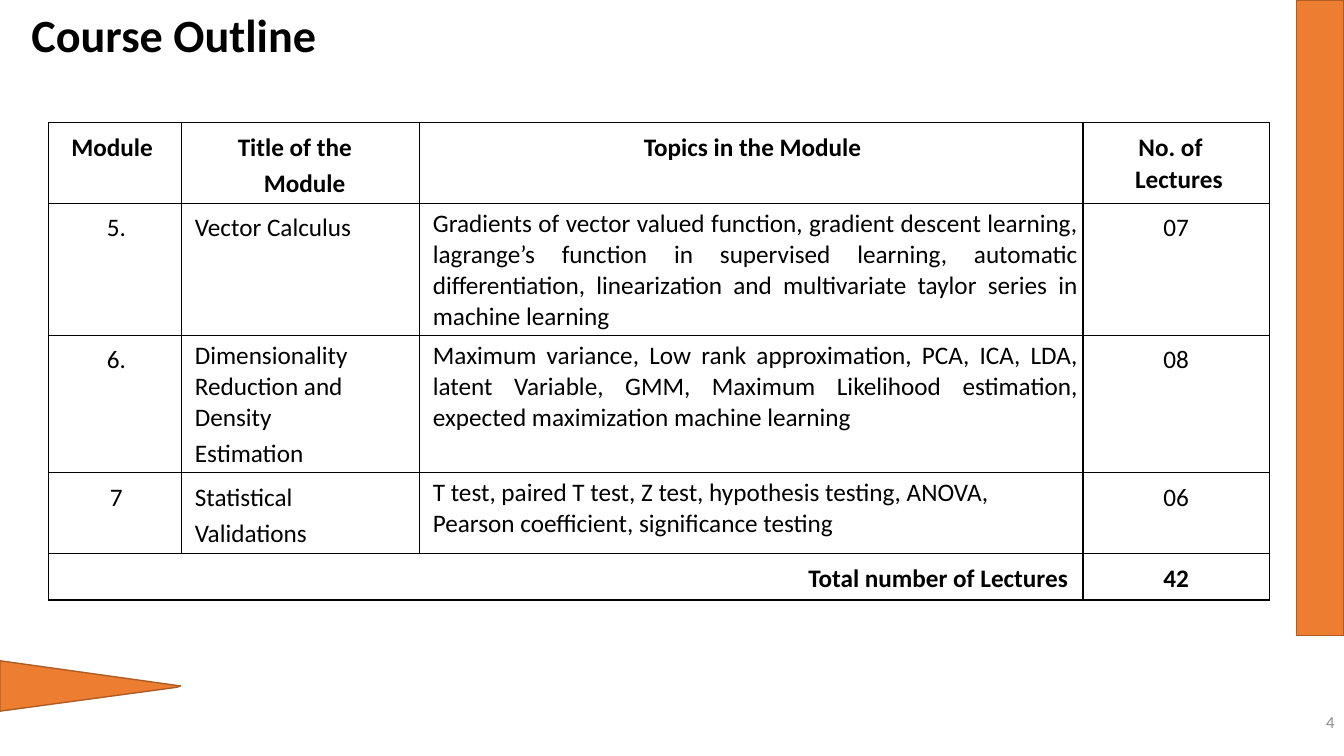
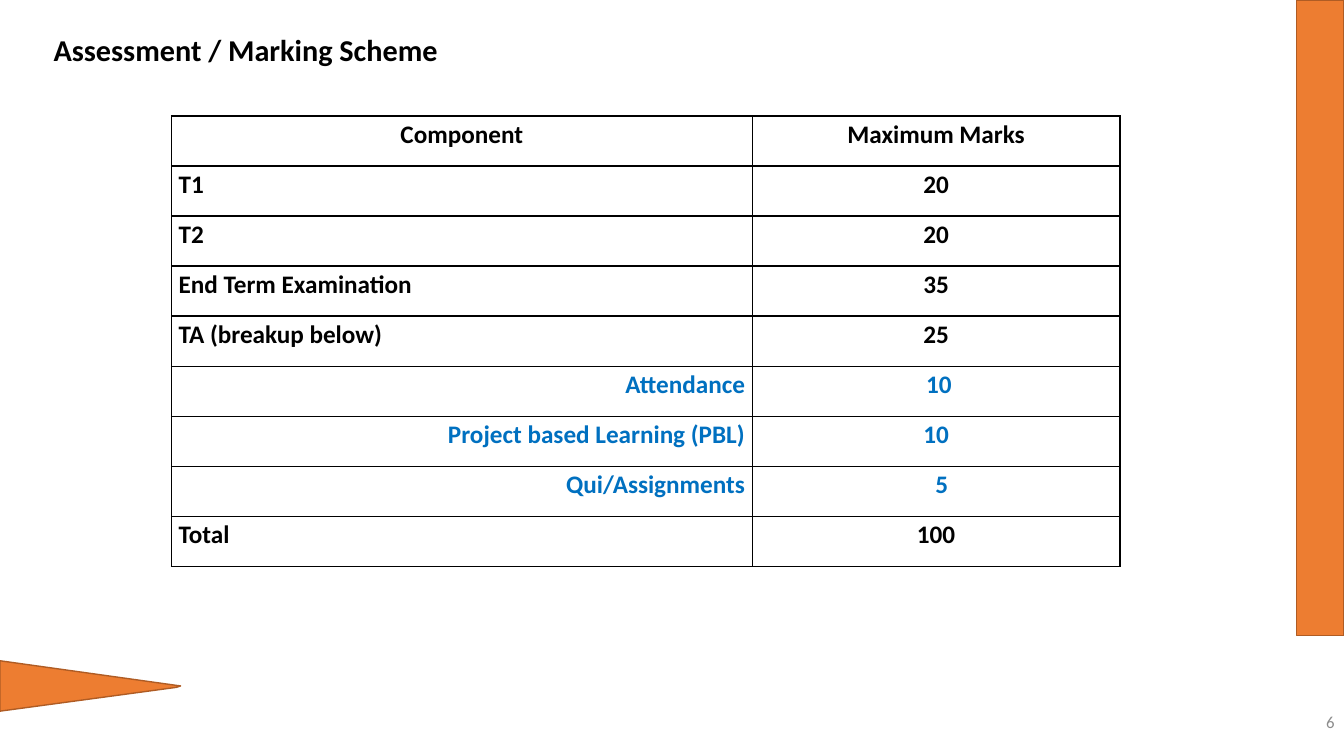
"""Builds the course outline and marking scheme slides."""
from lxml import etree
from pptx import Presentation
from pptx.dml.color import RGBColor
from pptx.enum.shapes import MSO_SHAPE
from pptx.enum.text import MSO_ANCHOR, PP_ALIGN
from pptx.oxml.ns import qn
from pptx.util import Pt

LEFT, CENTER, RIGHT, JUSTIFY = PP_ALIGN.LEFT, PP_ALIGN.CENTER, PP_ALIGN.RIGHT, PP_ALIGN.JUSTIFY
TOP, MIDDLE = MSO_ANCHOR.TOP, MSO_ANCHOR.MIDDLE
RECTANGLE = MSO_SHAPE.RECTANGLE

FONT = "Calibri"
BLACK = RGBColor(0x00, 0x00, 0x00)
ORANGE = RGBColor(0xED, 0x7D, 0x31)
BROWN = RGBColor(0xAF, 0x5C, 0x24)
GRAY = RGBColor(0x8C, 0x8C, 0x8C)
BLUE = RGBColor(0x00, 0x70, 0xC0)

WEDGE = [(0, 472.3), (129, 490.4), (126, 491), (0, 508.5)]
BAND = (926, 0, 34, 454)
PAGE_NUMBER = (914.4, 501, 46, 29)

OUTLINE_HEADER = [
    [("Module", {"right": 4})],
    [("Title of the", {"left": 6, "right": 14}), ("Module", {"left": 6})],
    [("Topics in the Module", {"left": 2})],
    [("No. of", {"right": 8}), ("Lectures", {"left": 4, "spacing": 1.01})],
]
OUTLINE_ROWS = [
    [["5."], ["Vector Calculus"],
     ["Gradients of vector valued function, gradient descent learning, lagrange’s function in "
      "supervised learning, automatic differentiation, linearization and multivariate taylor "
      "series in machine learning"], ["07"]],
    [["6."], [("Dimensionality Reduction and Density", {"spacing": 1.01}), "Estimation"],
     ["Maximum variance, Low rank approximation, PCA, ICA, LDA, latent Variable, GMM, Maximum "
      "Likelihood estimation, expected maximization machine learning"], ["08"]],
    [["7"], ["Statistical", "Validations"],
     [("T test, paired T test, Z test, hypothesis testing, ANOVA,\v"
       "Pearson coefficient, significance testing", {"align": LEFT})], ["06"]],
]
OUTLINE_TOTAL = ("Total number of Lectures", "42")
OUTLINE_COLUMNS = [
    {"align": CENTER, "left": 2, "spacing": 1.15},
    {"left": 6, "spacing": 1.15},
    {"align": JUSTIFY, "left": 6, "spacing": 1.01},
    {"align": CENTER, "spacing": 1.15},
]

MARKS_HEADER = ("Component", "Maximum Marks")
MARKS = [("T1", "20"), ("T2", "20"), ("End Term Examination", "35"), ("TA (breakup below)", "25")]
BREAKUP = [("Attendance", "10", 4), ("Project based Learning (PBL)", "10", 0),
           ("Qui/Assignments", "5", 8)]
MARKS_TOTAL = ("Total", "100")


def write(tf, paragraphs, **common):
    for i, item in enumerate(paragraphs):
        text, own = (item, {}) if isinstance(item, str) else item
        fmt = {"size": 18, "bold": False, "color": BLACK, "align": LEFT,
               "left": 0, "right": 0, "spacing": 1.0, **common, **own}
        p = tf.add_paragraph() if i else tf.paragraphs[0]
        p.text = text
        p.alignment = fmt["align"]
        p.line_spacing = fmt["spacing"]
        if i:
            p.space_before = Pt(0.6)
        pPr = p._p.get_or_add_pPr()
        pPr.set("marL", str(Pt(fmt["left"])))
        pPr.set("marR", str(Pt(fmt["right"])))
        for r in p.runs:
            r.font.name = FONT
            r.font.size = Pt(fmt["size"])
            r.font.bold = fmt["bold"]
            r.font.color.rgb = fmt["color"]


def set_margins(box, x, y):
    box.margin_left = box.margin_right = Pt(x)
    box.margin_top = box.margin_bottom = Pt(y)


def add_text(slide, box, text, anchor=TOP, margins=(7.2, 3.6), **fmt):
    tf = slide.shapes.add_textbox(*map(Pt, box)).text_frame
    tf.word_wrap = True
    tf.vertical_anchor = anchor
    set_margins(tf, *margins)
    write(tf, [text], **fmt)


def paint(sp):
    sp.shadow.inherit = False
    sp.fill.solid()
    sp.fill.fore_color.rgb = ORANGE
    sp.line.color.rgb = BROWN
    sp.line.width = Pt(1)


def new_slide(prs, number, title, left, top, size, spacing):
    slide = prs.slides.add_slide(prs.slide_layouts[6])
    outline = slide.shapes.build_freeform(*WEDGE[0], scale=Pt(1))
    outline.add_line_segments(WEDGE[1:], close=True)
    paint(outline.convert_to_shape())
    paint(slide.shapes.add_shape(RECTANGLE, *map(Pt, BAND)))
    add_text(slide, (left, top, 567, 27.4), title, margins=(5.2, 2.6),
             size=size, bold=True, spacing=spacing)
    add_text(slide, PAGE_NUMBER, str(number), anchor=MIDDLE,
             size=12, color=GRAY, align=RIGHT)
    return slide


def add_borders(cell):
    tcPr = cell._tc.get_or_add_tcPr()
    for side in ("a:lnL", "a:lnR", "a:lnT", "a:lnB"):
        ln = etree.SubElement(tcPr, qn(side), w=str(Pt(1)))
        fill = etree.SubElement(ln, qn("a:solidFill"))
        etree.SubElement(fill, qn("a:srgbClr"), val=str(BLACK))


def add_grid(slide, left, top, widths, heights, margins):
    frame = slide.shapes.add_table(len(heights), len(widths), Pt(left), Pt(top),
                                   Pt(sum(widths)), Pt(sum(heights)))
    table = frame.table
    table.first_row = table.horz_banding = False
    for column, width in zip(table.columns, widths):
        column.width = Pt(width)
    for row, height in zip(table.rows, heights):
        row.height = Pt(height)
    for cell in table.iter_cells():
        set_margins(cell, *margins)
        add_borders(cell)
        cell.fill.background()
    return table


def build_outline(prs):
    slide = new_slide(prs, 4, "Course Outline", 17.3, 6.5, 33, 0.9)
    table = add_grid(slide, 34.6, 87.6, [95, 170, 474, 133], [57, 94, 98, 58, 33], (3.6, 3.6))
    for c, paragraphs in enumerate(OUTLINE_HEADER):
        write(table.cell(0, c).text_frame, paragraphs, bold=True, align=CENTER, spacing=1.15)
    for r, row in enumerate(OUTLINE_ROWS, 1):
        for c, (paragraphs, fmt) in enumerate(zip(row, OUTLINE_COLUMNS)):
            write(table.cell(r, c).text_frame, paragraphs, **fmt)
    last = len(OUTLINE_ROWS) + 1
    table.cell(last, 0).merge(table.cell(last, 2))
    label, count = OUTLINE_TOTAL
    write(table.cell(last, 0).text_frame, [label], bold=True, align=RIGHT, right=7, spacing=1.15)
    write(table.cell(last, 3).text_frame, [count], bold=True, align=CENTER, spacing=1.15)


def build_marks(prs):
    slide = new_slide(prs, 6, "Assessment / Marking Scheme", 33.1, 24.5, 21.6, 0.8)
    rows = [(*MARKS_HEADER, CENTER, 0, BLACK)]
    rows += [(*row, LEFT, 0, BLACK) for row in MARKS]
    rows += [(name, mark, RIGHT, shift, BLUE) for name, mark, shift in BREAKUP]
    rows.append((*MARKS_TOTAL, LEFT, 0, BLACK))
    table = add_grid(slide, 122.4, 82.8, [415, 262.6], [35.75] * len(rows), (5.2, 2.6))
    for r, (name, mark, align, shift, color) in enumerate(rows):
        write(table.cell(r, 0).text_frame, [name], bold=True, align=align, color=color)
        write(table.cell(r, 1).text_frame, [mark], bold=True, align=CENTER,
              left=shift, color=color)


def main():
    prs = Presentation()
    prs.slide_width, prs.slide_height = Pt(960), Pt(540)
    build_outline(prs)
    build_marks(prs)
    prs.save("out.pptx")


if __name__ == "__main__":
    main()
